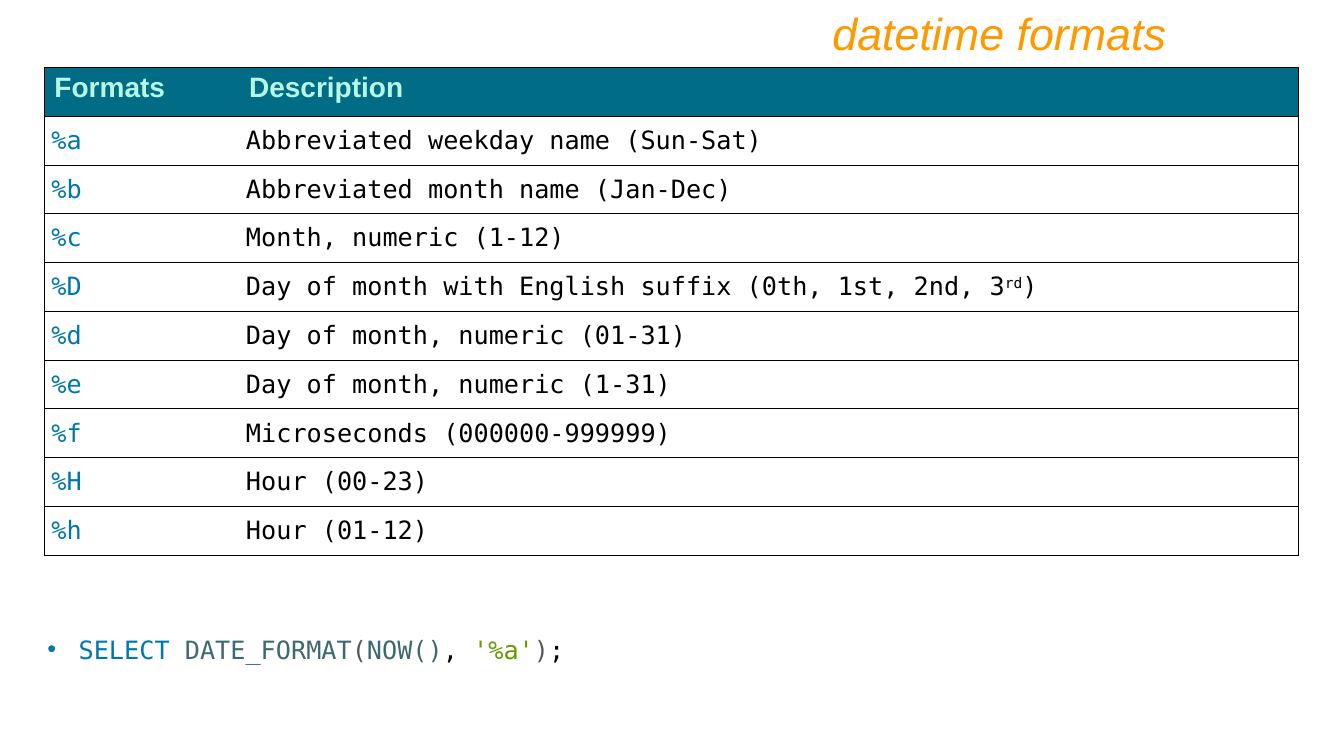
from lxml.etree import SubElement
from pptx import Presentation
from pptx.dml.color import RGBColor
from pptx.enum.text import MSO_ANCHOR, MSO_AUTO_SIZE, PP_ALIGN
from pptx.oxml.ns import qn
from pptx.util import Inches, Pt

ORANGE = RGBColor(0xFF, 0x99, 0x00)
TEAL = RGBColor(0x00, 0x6C, 0x86)
MINT = RGBColor(0xB7, 0xF7, 0xE2)
BLUE = RGBColor(0x00, 0x77, 0xAA)
SLATE = RGBColor(0x3F, 0x69, 0x71)
GRAY = RGBColor(0x59, 0x59, 0x59)
GREEN = RGBColor(0x66, 0x99, 0x00)
BLACK = RGBColor(0x00, 0x00, 0x00)
SANS = "Arial"
MONO = "DejaVu Sans Mono"

HEADERS = ["Formats", "Description"]
FORMATS = [
    ("%a", ["Abbreviated weekday name (Sun-Sat)"]),
    ("%b", ["Abbreviated month name (Jan-Dec)"]),
    ("%c", ["Month, numeric (1-12)"]),
    ("%D", ["Day of month with English suffix (0th, 1st, 2nd, 3", "rd", ")"]),
    ("%d", ["Day of month, numeric (01-31)"]),
    ("%e", ["Day of month, numeric (1-31)"]),
    ("%f", ["Microseconds (000000-999999)"]),
    ("%H", ["Hour (00-23)"]),
    ("%h", ["Hour (01-12)"]),
]
QUERY = [
    ("SELECT ", BLUE), ("DATE_FORMAT", SLATE), ("(", GRAY), ("NOW()", SLATE),
    (", ", BLACK), ("'%a'", GREEN), (")", GRAY), (";", BLACK),
]


def add_span(para, text, font_name, size, color):
    """Add one formatted run to a paragraph."""
    span = para.add_run()
    span.text = text
    span.font.name = font_name
    span.font.size = Pt(size)
    span.font.color.rgb = color
    return span


def place(shape, box):
    """Move a shape to a box of left, top, width and height in inches."""
    shape.left, shape.top, shape.width, shape.height = map(Inches, box)


def set_borders(cell, sides):
    """Draw thin black lines on the given sides and clear the others."""
    properties = cell._tc.get_or_add_tcPr()
    for side in "LRTB":
        line = SubElement(properties, qn(f"a:ln{side}"), w=str(Pt(0.75)))
        if side in sides:
            fill = SubElement(line, qn("a:solidFill"))
            SubElement(fill, qn("a:srgbClr"), val=str(BLACK))
        else:
            SubElement(line, qn("a:noFill"))


def fill_title(title, box):
    """Write the right-aligned slide title."""
    place(title, box)
    frame = title.text_frame
    frame.auto_size = MSO_AUTO_SIZE.NONE
    frame.vertical_anchor = MSO_ANCHOR.MIDDLE
    para = frame.paragraphs[0]
    para.alignment = PP_ALIGN.RIGHT
    add_span(para, "datetime formats", SANS, 32, ORANGE).font.italic = True


def add_formats_table(page, box):
    """Build the table of format codes and their descriptions."""
    row_count = len(FORMATS) + 1
    table = page.shapes.add_table(row_count, 2, *map(Inches, box)).table
    table.first_row = table.horz_banding = False
    code_width = 1.93
    table.columns[0].width = Inches(code_width)
    table.columns[1].width = Inches(box[2] - code_width)
    for row in table.rows:
        row.height = Inches(box[3] / row_count)
        for cell, outer_side in zip(row.cells, "LR"):
            set_borders(cell, "TB" + outer_side)
    for cell, header in zip(table.rows[0].cells, HEADERS):
        cell.fill.solid()
        cell.fill.fore_color.rgb = TEAL
        para = cell.text_frame.paragraphs[0]
        add_span(para, header, SANS, 20, MINT).font.bold = True
    for index, (code, description) in enumerate(FORMATS, start=1):
        code_cell, description_cell = table.rows[index].cells
        for cell in (code_cell, description_cell):
            cell.fill.background()
            cell.vertical_anchor = MSO_ANCHOR.MIDDLE
            cell.margin_left = cell.margin_right = Inches(0.07)
            cell.margin_top = cell.margin_bottom = 0
        add_span(code_cell.text_frame.paragraphs[0], code, MONO, 18, BLUE)
        para = description_cell.text_frame.paragraphs[0]
        for text in description:
            span = add_span(para, text, MONO, 18, BLACK)
            if text == "rd":
                span._r.get_or_add_rPr().set("baseline", "30000")


def fill_query(body, box):
    """Write the bulleted sample query with coloured syntax."""
    place(body, box)
    frame = body.text_frame
    frame.auto_size = MSO_AUTO_SIZE.NONE
    para = frame.paragraphs[0]
    properties = para._p.get_or_add_pPr()
    properties.set("marL", str(Inches(0.31)))
    properties.set("indent", str(-Inches(0.31)))
    SubElement(properties, qn("a:buChar"), char="•")
    para.space_before = Pt(0)
    for text, color in QUERY:
        add_span(para, text, MONO, 18, color)


def build_formats_slide(deck):
    """Add the slide with title, table and sample query."""
    page = deck.slides.add_slide(deck.slide_layouts[1])
    fill_query(page.placeholders[1], (0.37, 6.24, 9.67, 0.4))
    add_formats_table(page, (0.44, 0.67, 12.44, 4.84))
    fill_title(page.shapes.title, (1.67, 0, 10, 0.64))


def main():
    """Create and save the deck."""
    deck = Presentation()
    deck.slide_width = Inches(13.33)
    deck.slide_height = Inches(7.5)
    build_formats_slide(deck)
    deck.save("out.pptx")


if __name__ == "__main__":
    main()
